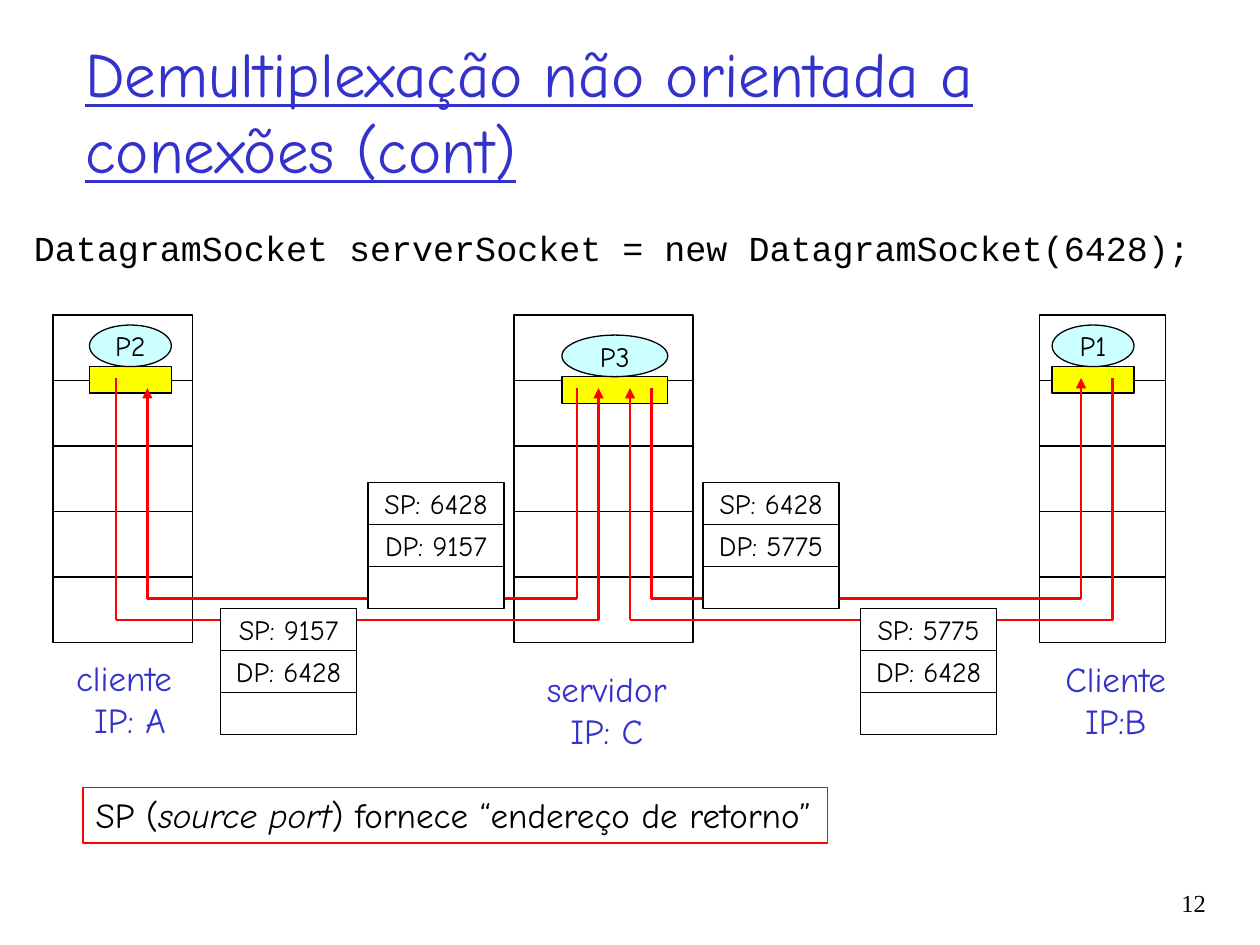
from pptx import Presentation
from pptx.dml.color import RGBColor
from pptx.enum import shapes, text
from pptx.oxml.ns import qn
from pptx.util import Inches, Pt

BLACK, WHITE, BLUE = "000000", "FFFFFF", "3333CC"
RED, YELLOW, CYAN = "FF0000", "FFFF00", "CCFFFF"
BODY_FONT = "Comic Neue"
LAYERS, LAYER_HEIGHT, STACK_TOP = 5, 0.52, 2.5
FIELD_WIDTH, FIELD_HEIGHT = 1.08, 1 / 3
RECTANGLE = shapes.MSO_SHAPE.RECTANGLE
CENTER = text.PP_ALIGN.CENTER


def color(hex_string):
    return RGBColor.from_string(hex_string)


def write(shape, lines, size=20, font=BODY_FONT, fill=BLACK, align=None,
          anchor=text.MSO_ANCHOR.TOP, wrap=False, underline=None):
    """Each line is a list of (wording, italic) runs or a plain string."""
    frame = shape.text_frame
    frame.word_wrap = wrap
    frame.vertical_anchor = anchor
    for index, line in enumerate(lines):
        paragraph = frame.add_paragraph() if index else frame.paragraphs[0]
        paragraph.alignment = align
        for wording, italic in [(line, None)] if isinstance(line, str) else line:
            run = paragraph.add_run()
            run.text = wording
            run.font.size = Pt(size)
            run.font.name = font
            run.font.color.rgb = color(fill)
            run.font.italic = italic
            run.font.underline = underline
    return frame


def add_text(slide, box, lines, **style):
    shape = slide.shapes.add_textbox(*map(Inches, box))
    return write(shape, lines, **style)


def add_box(slide, box, fill=WHITE, line=BLACK, kind=RECTANGLE):
    shape = slide.shapes.add_shape(kind, *map(Inches, box))
    shape.shadow.inherit = False
    if fill:
        shape.fill.solid()
        shape.fill.fore_color.rgb = color(fill)
    else:
        shape.fill.background()
    shape.line.color.rgb = color(line)
    shape.line.width = Pt(0.75)
    return shape


def add_line(slide, start, end, arrow=False):
    connector = slide.shapes.add_connector(
        shapes.MSO_CONNECTOR.STRAIGHT, *map(Inches, (*start, *end)))
    connector.line.color.rgb = color(RED)
    connector.line.width = Pt(1.5)
    if arrow:
        outline = connector.line._get_or_add_ln()
        head = outline.makeelement(qn("a:tailEnd"), {"type": "triangle"})
        outline.append(head)
    properties = connector._element.spPr
    properties.append(properties.makeelement(qn("a:effectLst"), {}))


def add_host(slide, left, width, process, process_left, process_top,
             process_width, label, label_box):
    # Protocol layers
    for layer in range(LAYERS):
        add_box(slide, (left, STACK_TOP + layer * LAYER_HEIGHT,
                        width, LAYER_HEIGHT))
    # Socket under its process
    add_box(slide, (process_left, process_top + 0.33, process_width, 0.21),
            fill=YELLOW)
    ellipse = add_box(slide, (process_left, process_top, process_width, 0.33),
                      fill=CYAN, kind=shapes.MSO_SHAPE.OVAL)
    write(ellipse, [process], size=16, align=CENTER,
          anchor=text.MSO_ANCHOR.MIDDLE)
    add_text(slide, label_box, label, fill=BLUE, align=CENTER)


def add_route(slide, start, floor, end):
    """Goes down from the sender, across, and up to the receiver."""
    corners = [start, (start[0], floor), (end[0], floor), end]
    for begin, finish in zip(corners, corners[1:]):
        add_line(slide, begin, finish, arrow=finish == end)


def add_packet(slide, left, top, source, destination):
    fields = [f"SP: {source}", f"DP: {destination}", None]
    for row, field in enumerate(fields):
        cell = add_box(slide, (left, top + row * FIELD_HEIGHT,
                               FIELD_WIDTH, FIELD_HEIGHT))
        if field:
            write(cell, [field], size=16, align=CENTER,
                  anchor=text.MSO_ANCHOR.MIDDLE)


def main():
    presentation = Presentation()
    presentation.slide_width = Inches(10)
    presentation.slide_height = Inches(7.5)
    slide = presentation.slides.add_slide(presentation.slide_layouts[6])

    # Title and code line
    add_text(slide, (0.58, 0.25, 8.5, 1.25),
             ["Demultiplexação não orientada a conexões (cont)"], size=36,
             fill=BLUE, underline=True, wrap=True,
             anchor=text.MSO_ANCHOR.MIDDLE)
    add_text(slide, (0.17, 1.75, 9.5, 0.67),
             ["DatagramSocket serverSocket = new DatagramSocket(6428);"],
             font="Courier New", wrap=True)

    # Hosts
    add_host(slide, 0.42, 1.11, "P2", 0.71, 2.58, 0.65,
             ["cliente", " IP: A"], (0.5, 5.16, 0.97, 0.77))
    add_host(slide, 8.25, 1, "P1", 8.35, 2.58, 0.65,
             ["Cliente", "IP:B"], (8.35, 5.17, 1.01, 0.77))
    add_host(slide, 4.08, 1.42, "P3", 4.46, 2.66, 0.84,
             ["servidor", "IP: C"], (4.24, 5.25, 1.15, 0.77))

    # Requests below, replies above
    request_floor, reply_floor = 4.92, 4.75
    add_route(slide, (0.92, 3), request_floor, (4.75, 3.08))
    add_route(slide, (8.83, 3), request_floor, (5, 3.08))
    add_route(slide, (4.58, 3.08), reply_floor, (1.17, 3.08))
    add_route(slide, (5.17, 3.08), reply_floor, (8.58, 3))

    # Packets
    for left, top, source, destination in [
            (2.92, 3.83, 6428, 9157), (1.75, 4.83, 9157, 6428),
            (5.58, 3.83, 6428, 5775), (6.83, 4.83, 5775, 6428)]:
        add_packet(slide, left, top, source, destination)

    # Note and slide number
    note = add_box(slide, (0.66, 6.25, 5.91, 0.44), fill=None, line=RED)
    write(note, [[("SP (", None), ("source port", True),
                  (") fornece “endereço de retorno”", None)]],
          align=text.PP_ALIGN.LEFT)
    add_text(slide, (8.93, 7, 0.74, 0.5), ["12"], size=14,
             font="Times New Roman", align=text.PP_ALIGN.RIGHT, wrap=True)

    presentation.save("out.pptx")


if __name__ == "__main__":
    main()
